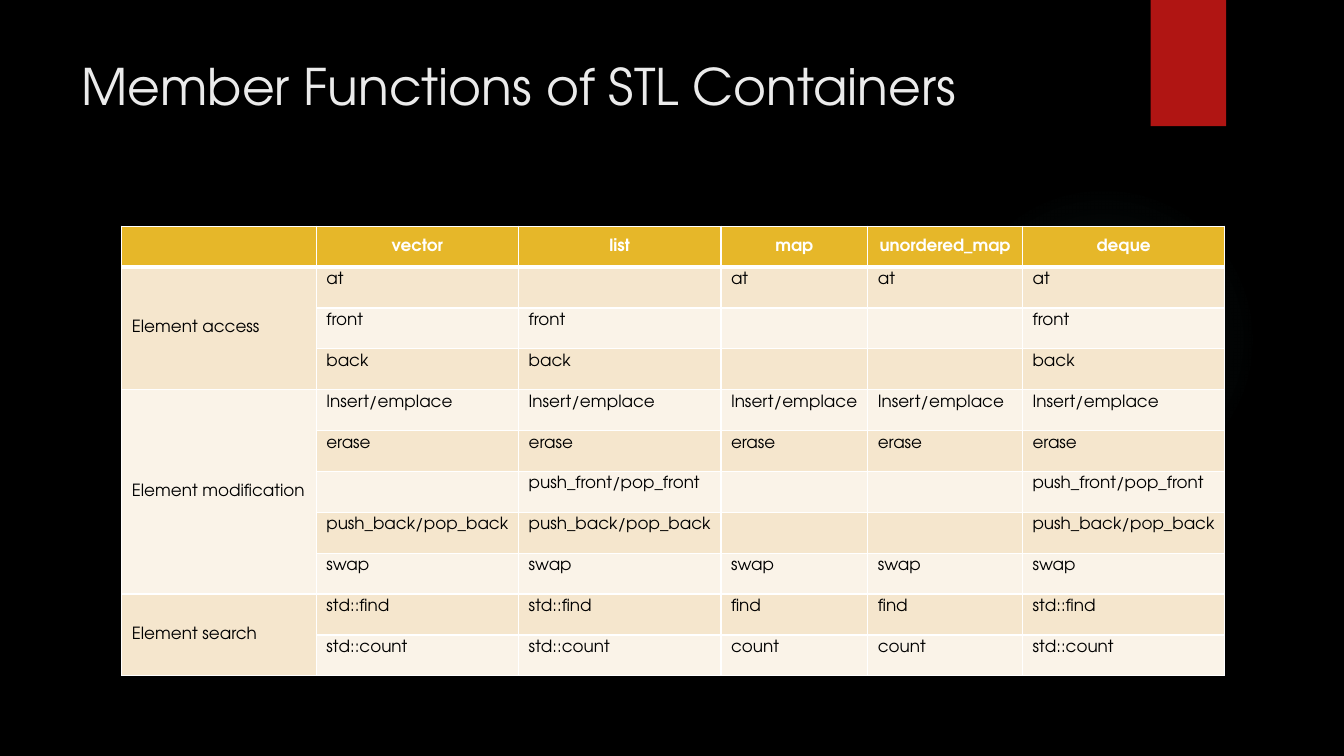
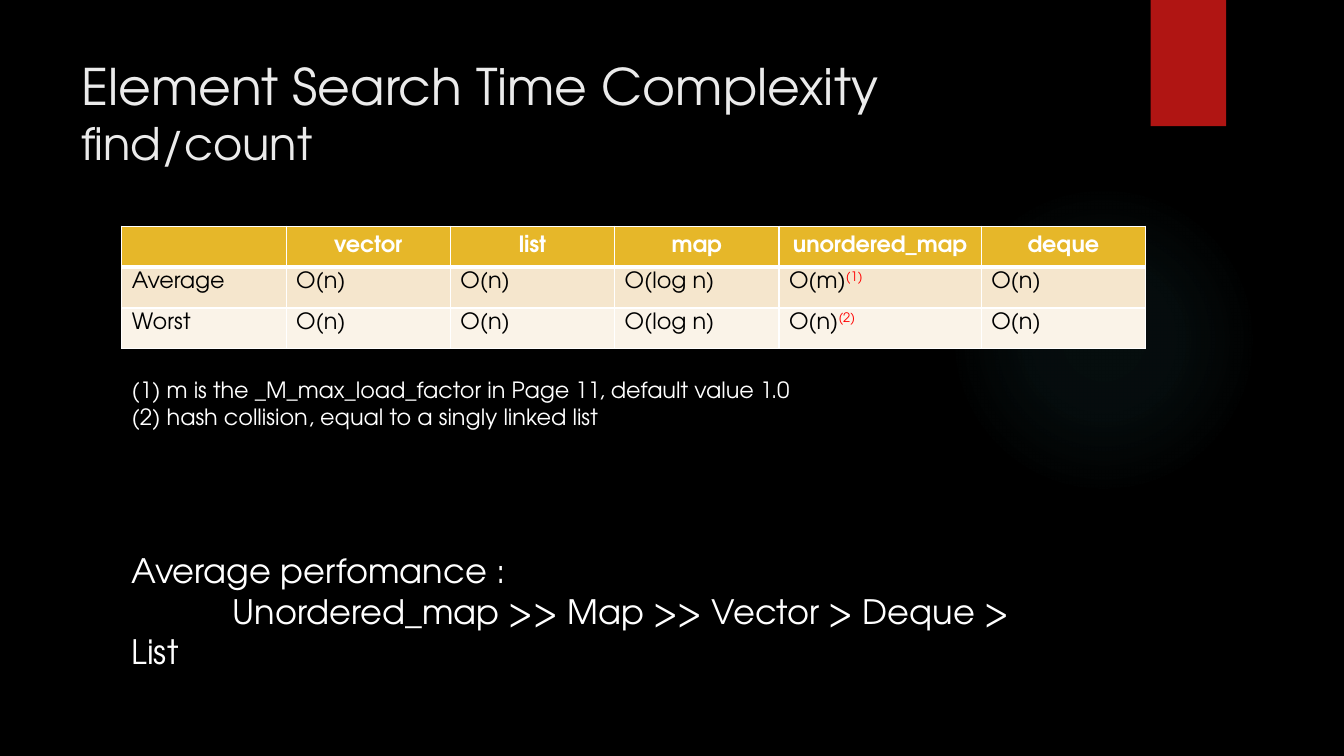
import pptx
import pptx.util
import pptx.dml.color
import pptx.enum.shapes
import pptx.enum.text
import pptx.oxml
import pptx.oxml.ns

Cm = pptx.util.Cm
Pt = pptx.util.Pt
FONT = "TeX Gyre Adventor"
HUE = {
    "back": "000000", "title": "EBEBEB", "band": "B01513", "glow": "50B9C1",
    "head": "E6B729", "odd": "F5E6CD", "even": "FAF3E8",
    "white": "FFFFFF", "black": "000000", "mark": "FF0000",
}
MID = pptx.enum.text.MSO_ANCHOR.MIDDLE
CENTER = pptx.enum.text.PP_ALIGN.CENTER
NS = pptx.oxml.ns.nsdecls("a")


def paint(fill, name):
    fill.solid()
    fill.fore_color.rgb = pptx.dml.color.RGBColor.from_string(HUE[name])


def write(para, text, size=16, hue="white", bold=False, raised=False):
    run = para.add_run()
    run.text = text
    run.font.name = FONT
    run.font.size = Pt(size)
    run.font.bold = bold
    paint(run.font.fill, hue)
    if raised:
        run._r.get_or_add_rPr().set("baseline", "30000")


# Content: "|" parts cells, "^" starts a raised mark, an empty label joins the one above
pages = [
    {
        "title": [("Member Functions of STL Containers", 36)],
        "size": 12,
        "cols": [4.9, 5.1, 5.1, 3.7, 3.9, 5.1],
        "rows": [
            "|vector|list|map|unordered_map|deque",
            "Element access|at||at|at|at",
            "|front|front|||front",
            "|back|back|||back",
            "Element modification" + "|Insert/emplace" * 5,
            "|erase|erase|erase|erase|erase",
            "||push_front/pop_front|||push_front/pop_front",
            "|push_back/pop_back|push_back/pop_back|||push_back/pop_back",
            "|swap|swap|swap|swap|swap",
            "Element search|std::find|std::find|find|find|std::find",
            "|std::count|std::count|count|count|std::count",
        ],
    },
    {
        "title": [("Element Search Time Complexity", 36), ("find/count", 32)],
        "size": 16,
        "cols": [4.14, 4.14, 4.14, 4.14, 5.1, 4.14],
        "rows": [
            "|vector|list|map|unordered_map|deque",
            "Average|O(n)|O(n)|O(log n)|O(m)^(1)|O(n)",
            "Worst|O(n)|O(n)|O(log n)|O(n)^(2)|O(n)",
        ],
    },
]

deck = pptx.Presentation()
deck.slide_width, deck.slide_height = Cm(33.87), Cm(19.05)
paint(deck.slide_master.background.fill, "back")

for page in pages:
    slide = deck.slides.add_slide(deck.slide_layouts[6])
    shapes = slide.shapes

    # Soft glow and red band
    kinds = pptx.enum.shapes.MSO_SHAPE
    glow = shapes.add_shape(kinds.OVAL, Cm(23.9), Cm(4.65), Cm(7.82), Cm(7.82))
    band = shapes.add_shape(kinds.RECTANGLE, Cm(29), 0, Cm(1.9), Cm(3.18))
    for shape in (glow, band):
        shape.shadow.inherit = False
        shape.line.fill.background()
    paint(band.fill, "band")
    stops = "".join(
        f'<a:gs pos="{pos}000"><a:srgbClr val="{HUE["glow"]}">'
        f'<a:alpha val="{alpha}000"/></a:srgbClr></a:gs>'
        for pos, alpha in ((0, 7), (36, 6), (69, 0), (100, 0)))
    glow._element.spPr.find(pptx.oxml.ns.qn("a:prstGeom")).addnext(
        pptx.oxml.parse_xml(
            f'<a:gradFill {NS}><a:gsLst>{stops}</a:gsLst><a:path path="circle">'
            '<a:fillToRect l="50000" t="50000" r="50000" b="50000"/>'
            '</a:path></a:gradFill>'))

    # Title
    frame = shapes.add_textbox(Cm(1.8), Cm(1.27), Cm(26.14), Cm(3.89)).text_frame
    frame.word_wrap = True
    para = frame.paragraphs[0]
    for at, (text, size) in enumerate(page["title"]):
        if at:
            para.add_line_break()
        write(para, text, size=size, hue="title")

    # Table
    rows = [line.split("|") for line in page["rows"]]
    cols = page["cols"]
    high = Cm(1.03)
    grid = shapes.add_table(len(rows), len(cols), Cm(3.07), Cm(5.7),
                            Cm(sum(cols)), high * len(rows)).table
    for col, wide in zip(grid.columns, cols):
        col.width = Cm(wide)
    for r, row in enumerate(rows):
        grid.rows[r].height = high
        for c, text in enumerate(row):
            cell = grid.cell(r, c)
            # Borders, thick under the head row
            edges = {"L": 1, "R": 1, "T": 3 if r == 1 else 1, "B": 1 if r else 3}
            for side, width in edges.items():
                cell._tc.get_or_add_tcPr().append(pptx.oxml.parse_xml(
                    f'<a:ln{side} {NS} w="{Pt(width)}"><a:solidFill>'
                    f'<a:srgbClr val="{HUE["white"]}"/></a:solidFill></a:ln{side}>'))
            paint(cell.fill, ("odd" if r % 2 else "even") if r else "head")
            para = cell.text_frame.paragraphs[0]
            if r == 0:
                cell.vertical_anchor = MID
                para.alignment = CENTER
            else:
                cell.margin_right = 0
            main, _, mark = text.partition("^")
            if main:
                write(para, main, size=page["size"],
                      hue="black" if r else "white", bold=r == 0)
            if mark:
                write(para, mark, size=page["size"], hue="mark", raised=True)

    # Join each label with the empty cells below it
    heads = [r for r, row in enumerate(rows) if r and row[0]]
    for top, end in zip(heads, heads[1:] + [len(rows)]):
        if end - top > 1:
            grid.cell(top, 0).merge(grid.cell(end - 1, 0))
            grid.cell(top, 0).vertical_anchor = MID

# Notes and ranking on the last slide: text, size, space before, first-line indent
notes = [
    ("(1) m is the _M_max_load_factor in Page 11, default value 1.0", 16, 0, 0),
    ("(2) hash collision, equal to a singly linked list", 16, 0, 0),
    ("Average perfomance :", 24, 86, 0),
    ("Unordered_map >> Map >> Vector > Deque > List", 24, 0, 2.54),
]
frame = shapes.add_textbox(Cm(3.07), Cm(9.35), Cm(23.7), Cm(6.76)).text_frame
frame.word_wrap = True
for at, (text, size, gap, dent) in enumerate(notes):
    para = frame.add_paragraph() if at else frame.paragraphs[0]
    if gap:
        para.space_before = Pt(gap)
    if dent:
        para._p.get_or_add_pPr().set("indent", str(Cm(dent)))
    write(para, text, size=size)

deck.save("out.pptx")
